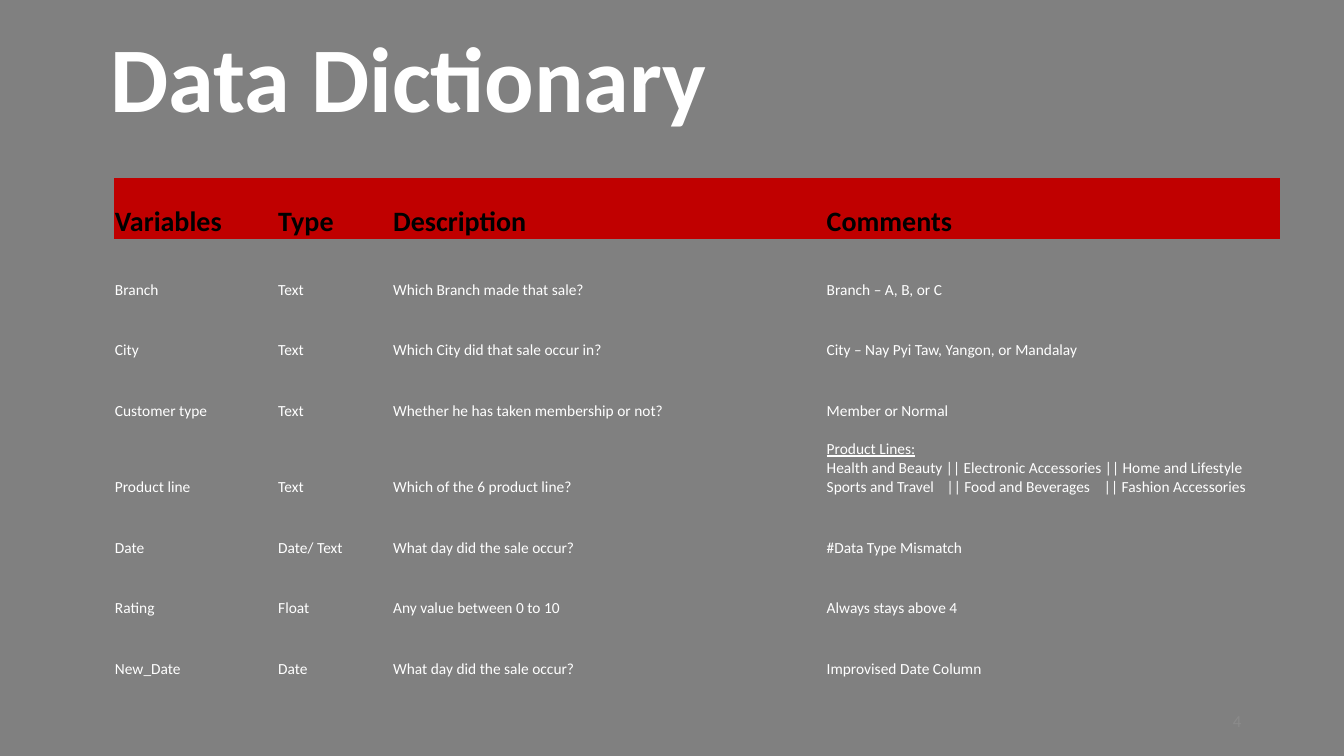
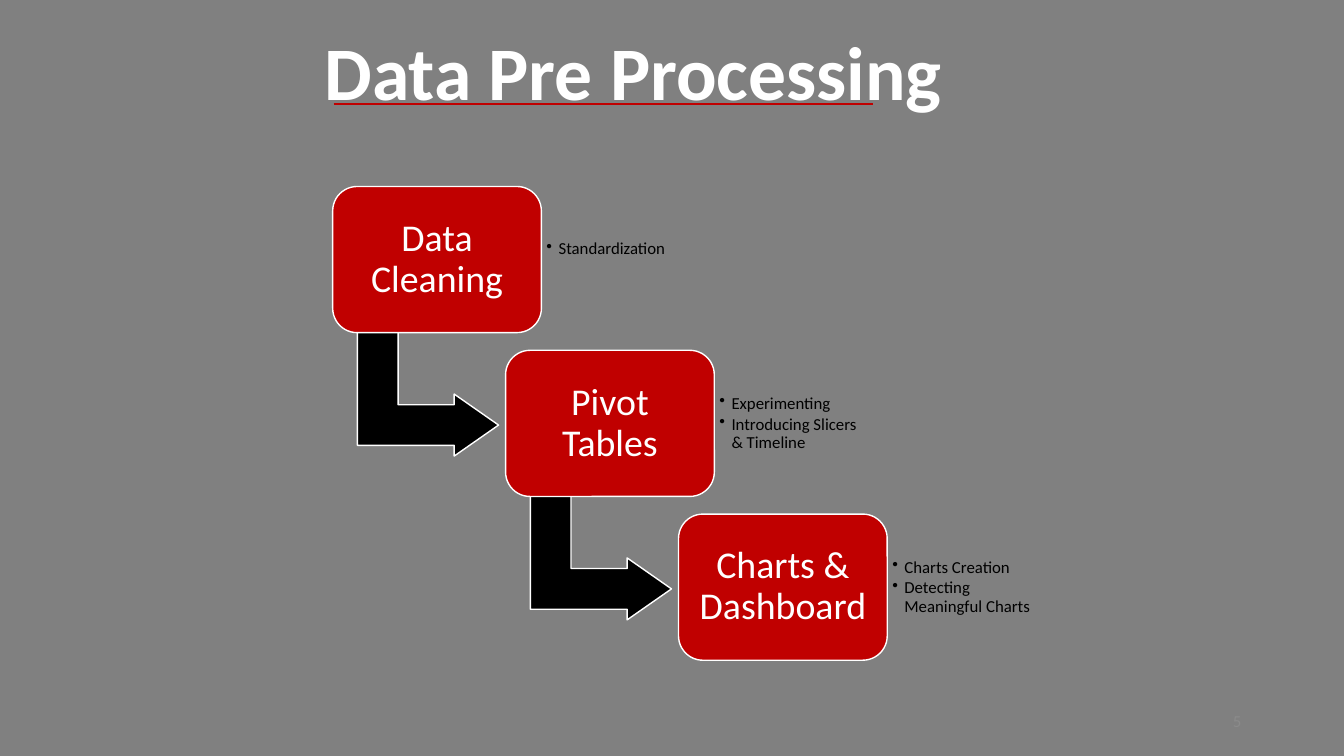
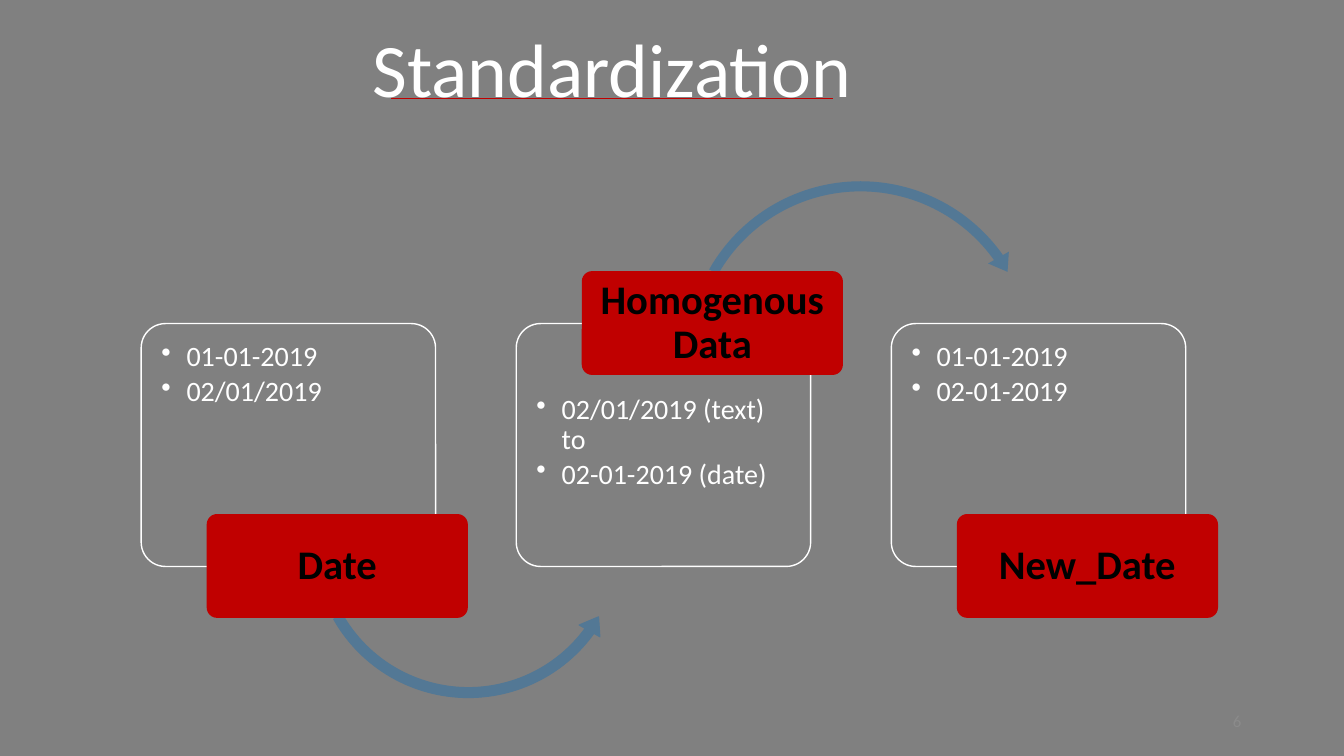
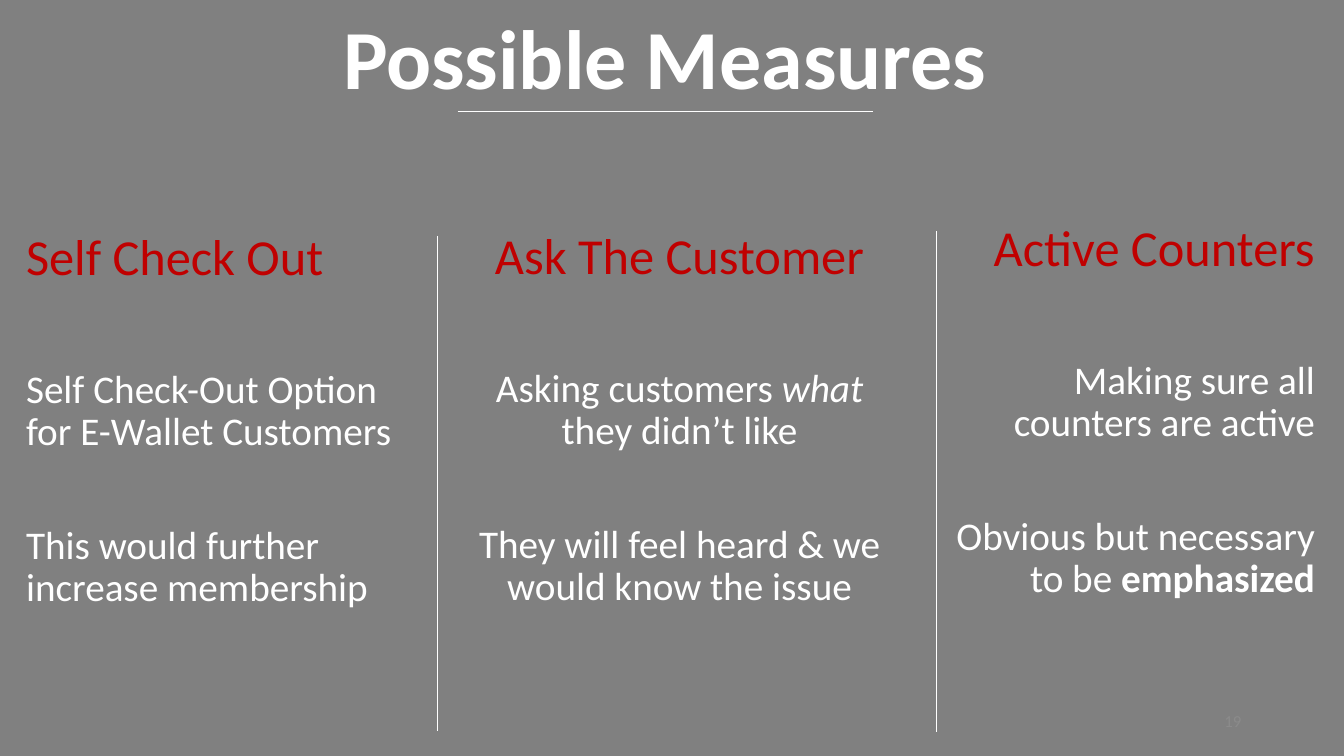
from lxml import etree
from pptx import Presentation
from pptx.dml.color import RGBColor
from pptx.enum import shapes, text
from pptx.oxml.ns import qn
from pptx.util import Inches, Pt

HUE = {"back": "808080", "red": "C00000", "ink": "000000", "white": "FFFFFF",
       "blue": "537895", "page": "8B8B8B"}
FONT = "Calibri"
FORM, ALIGN, ANCHOR = shapes.MSO_SHAPE, text.PP_ALIGN, text.MSO_ANCHOR
NO_STYLE = "{2D5ABB26-0587-4C30-8999-92F81FD0307C}"

COLS = [1.62, 1.14, 4.3, 4.51]
TABS = [1.19, 2.75]
ROWS = [
    ("Variables", "Type", "Description", "Comments"),
    ("Branch", "Text", "Which Branch made that sale?", "Branch – A, B, or C"),
    ("City", "Text", "Which City did that sale occur in?",
     "City – Nay Pyi Taw, Yangon, or Mandalay"),
    ("Customer type", "Text", "Whether he has taken membership or not?",
     "Member or Normal"),
    ("Product line", "Text", "Which of the 6 product line?",
     ["Product Lines:",
      "Health and Beauty || Electronic Accessories || Home and Lifestyle",
      "Sports and Travel\t|| Food and Beverages\t|| Fashion Accessories"]),
    ("Date", "Date/ Text", "What day did the sale occur?", "#Data Type Mismatch"),
    ("Rating", "Float", "Any value between 0 to 10", "Always stays above 4"),
    ("New_Date", "Date", "What day did the sale occur?", "Improvised Date Column"),
]

# Step name, its points, extra space below the points
STEPS = [
    ("Data Cleaning", ["Standardization"], 0.2),
    ("Pivot Tables", ["Experimenting", "Introducing Slicers & Timeline"], 0),
    ("Charts & Dashboard", ["Charts Creation", "Detecting Meaningful Charts"], 0),
]

# Label, points, label on top, arrow to the next card
CARDS = [
    ("Date", ["01-01-2019", "02/01/2019"], False,
     (FORM.LEFT_CIRCULAR_ARROW, (3.04, 3.78, 3.21, 3.21),
      (0.031, 3.869, 21.624, 90.245, 0.037))),
    ("Homogenous Data", ["02/01/2019 (text) to", "02-01-2019 (date)"], True,
     (FORM.CIRCULAR_ARROW, (6.74, 1.73, 3.59, 3.59),
      (0.028, 3.44, 194.805, 125.755, 0.033))),
    ("New_Date", ["01-01-2019", "02-01-2019"], False, None),
]

# Box, alignment, heading, paragraphs as (text, style) runs
IDEAS = [
    ((0.16, 2.25, 4.15, 5.13), ALIGN.LEFT, "Self Check Out",
     [[("Self Check-Out Option for E-Wallet Customers", "")],
      [("This would further increase membership", "")]]),
    ((4.64, 2.24, 4.2, 5.13), ALIGN.CENTER, "Ask The Customer",
     [[("Asking customers ", ""), ("what", "italic"), (" they didn’t like", "")],
      [("They will feel heard & we would know the issue", "")]]),
    ((9.31, 2.16, 3.83, 5.13), ALIGN.RIGHT, "Active Counters",
     [[("Making sure all counters are active", "")],
      [("Obvious but necessary to be ", ""), ("emphasized", "bold")]]),
]
RULES = [(4.34, 2.34, 4.34, 7.25), (9.29, 2.29, 9.29, 7.26), (4.54, 1.1, 8.66, 1.1)]


def rgb(name):
    return RGBColor.from_string(HUE[name])


def style(para, size, hue="white", bold=False, align=ALIGN.LEFT, lines=0.9,
          before=0, after=0):
    para.alignment, para.line_spacing = align, lines
    para.space_before, para.space_after = Pt(before), Pt(after)
    font = para.font
    font.name, font.size, font.bold = FONT, Pt(size), bold
    font.color.rgb = rgb(hue)


def bullet(para, indent):
    props = para._p.get_or_add_pPr()
    props.set("marL", str(Inches(indent)))
    props.set("indent", str(-Inches(indent)))
    etree.SubElement(props, qn("a:buChar")).set("char", "•")


def tabs(para, stops):
    group = etree.SubElement(para._p.get_or_add_pPr(), qn("a:tabLst"))
    for stop in stops:
        tab = etree.SubElement(group, qn("a:tab"))
        tab.set("pos", str(Inches(stop)))
        tab.set("algn", "l")


def setup(frame, pads=(0.1, 0.05, 0.1, 0.05), anchor=ANCHOR.MIDDLE):
    frame.word_wrap, frame.vertical_anchor = True, anchor
    (frame.margin_left, frame.margin_top,
     frame.margin_right, frame.margin_bottom) = map(Inches, pads)


def write(frame, items, size, indent=0, **looks):
    """Fill a frame with one paragraph per item, bulleted if indented."""
    for i, item in enumerate(items):
        para = frame.paragraphs[0] if i == 0 else frame.add_paragraph()
        para.text = item
        if indent:
            bullet(para, indent)
        if "\t" in item:
            tabs(para, TABS)
        style(para, size, **looks)


def textbox(slide, box):
    return slide.shapes.add_textbox(*map(Inches, box)).text_frame


def shape(slide, kind, box, adjust, fill=None, line=None, width=1):
    form = slide.shapes.add_shape(kind, *map(Inches, box))
    form.shadow.inherit = False
    for i, value in enumerate(adjust):
        form.adjustments[i] = value
    if fill:
        form.fill.solid()
        form.fill.fore_color.rgb = rgb(fill)
    else:
        form.fill.background()
    if line:
        form.line.color.rgb = rgb(line)
        form.line.width = Pt(width)
    else:
        form.line.fill.background()
    return form


def rule(slide, ends, hue, width):
    line = slide.shapes.add_connector(shapes.MSO_CONNECTOR.STRAIGHT, *map(Inches, ends))
    line.line.color.rgb = rgb(hue)
    line.line.width = Pt(width)
    etree.SubElement(line.element.spPr, qn("a:effectLst"))


def start(deck, page):
    """Add a grey slide with its page number."""
    slide = deck.slides.add_slide(deck.slide_layouts[6])
    slide.background.fill.solid()
    slide.background.fill.fore_color.rgb = rgb("back")
    frame = textbox(slide, (9.41, 6.95, 3, 0.4))
    setup(frame)
    write(frame, [str(page)], 12, hue="page", align=ALIGN.RIGHT, lines=1)
    return slide


def title(slide, words, box, size, **looks):
    frame = textbox(slide, box)
    setup(frame)
    write(frame, [words], size, **looks)


def dictionary(deck):
    slide = start(deck, 4)
    title(slide, "Data Dictionary", (1, 0.09, 11.5, 1.45), 66, bold=True)
    holder = slide.shapes.add_table(len(ROWS), len(COLS), Inches(1.13), Inches(1.77),
                                    Inches(sum(COLS)), Inches(4.96))
    holder.element.find(".//" + qn("a:tableStyleId")).text = NO_STYLE
    table = holder.table
    table.first_row = table.horz_banding = False
    for col, wide in zip(table.columns, COLS):
        col.width = Inches(wide)
    for r, row in enumerate(ROWS):
        head = r == 0
        table.rows[r].height = Inches(0.76 if isinstance(row[-1], list) else 0.6)
        for c, item in enumerate(row):
            cell = table.cell(r, c)
            cell.vertical_anchor = ANCHOR.BOTTOM
            cell.margin_left = cell.margin_top = cell.margin_right = Inches(0.01)
            cell.margin_bottom = 0
            if head:
                cell.fill.solid()
                cell.fill.fore_color.rgb = rgb("red")
            else:
                cell.fill.background()
            items = item if isinstance(item, list) else [item]
            write(cell.text_frame, items, 20 if head else 11,
                  hue="ink" if head else "white", bold=head, lines=1)
            if len(items) > 1:
                cell.text_frame.paragraphs[0].font.underline = True


def process(deck):
    slide = start(deck, 5)
    for i, (name, points, extra) in enumerate(STEPS):
        x, y = 3.3 + 1.715 * i, 1.85 + 1.625 * i
        if i < len(STEPS) - 1:
            arrow = shape(slide, FORM.BENT_UP_ARROW, (x + 0.33, y + 1.36, 1.23, 1.4),
                          (0.328, 0.25, 0.358), "ink", "white")
            arrow.rotation = 90
        step = shape(slide, FORM.ROUNDED_RECTANGLE, (x, y, 2.07, 1.45), (0.167,),
                     "red", "white").text_frame
        setup(step, [0.11] * 4)
        write(step, [name], 27, align=ALIGN.CENTER)
        notes = textbox(slide, (x + 2.07, y + 0.14, 1.51, 1.17))
        setup(notes, (0.05, 0.05, 0.05, 0.05 + extra))
        write(notes, points, 12, 0.12, hue="ink", after=1.8)
    title(slide, "Data Pre Processing", (3.12, 0.13, 9, 1.25), 54, bold=True)
    rule(slide, (3.31, 1.03, 8.66, 1.03), "red", 1.5)


def standard(deck):
    slide = start(deck, 6)
    for i, (name, points, above, arrow) in enumerate(CARDS):
        x = 1.4 + 3.72 * i
        card = shape(slide, FORM.ROUNDED_RECTANGLE, (x, 3.21, 2.92, 2.41), (0.1,),
                     line="white").text_frame
        setup(card, (0.13, 0.64 if above else 0.12, 0.13, 0.12), ANCHOR.TOP)
        write(card, points, 20, 0.25, after=3)
        if arrow:
            shape(slide, *arrow, "blue", "blue" if not above else None, 0.75)
        label = shape(slide, FORM.ROUNDED_RECTANGLE,
                      (x + 0.65, 2.69 if above else 5.1, 2.59, 1.03), (0.1,),
                      "red").text_frame
        setup(label, (0.06, 0.04, 0.06, 0.04))
        write(label, [name], 29, hue="ink", bold=True, align=ALIGN.CENTER)
    title(slide, "Standardization", (2.91, 0.1, 6.32, 1.25), 54, align=ALIGN.CENTER)
    rule(slide, (3.88, 0.98, 8.26, 0.98), "red", 0.5)


def measures(deck):
    slide = start(deck, 19)
    for box, align, head, paras in IDEAS:
        frame = textbox(slide, box)
        setup(frame, anchor=ANCHOR.TOP)
        write(frame, [head], 36, hue="red", align=align, before=10)
        for runs, gap in zip(paras, (59.5, 50.8)):
            para = frame.add_paragraph()
            for words, look in runs:
                run = para.add_run()
                run.text = words
                if look:
                    setattr(run.font, look, True)
            style(para, 28, align=align, before=gap)
    title(slide, "Possible Measures", (2.63, 0, 7.93, 1.11), 60, bold=True,
          align=ALIGN.CENTER, lines=1)
    for ends in RULES:
        rule(slide, ends, "white", 0.5)


def main():
    deck = Presentation()
    deck.slide_width, deck.slide_height = Inches(13.33), Inches(7.5)
    for build in (dictionary, process, standard, measures):
        build(deck)
    deck.save("out.pptx")


if __name__ == "__main__":
    main()
